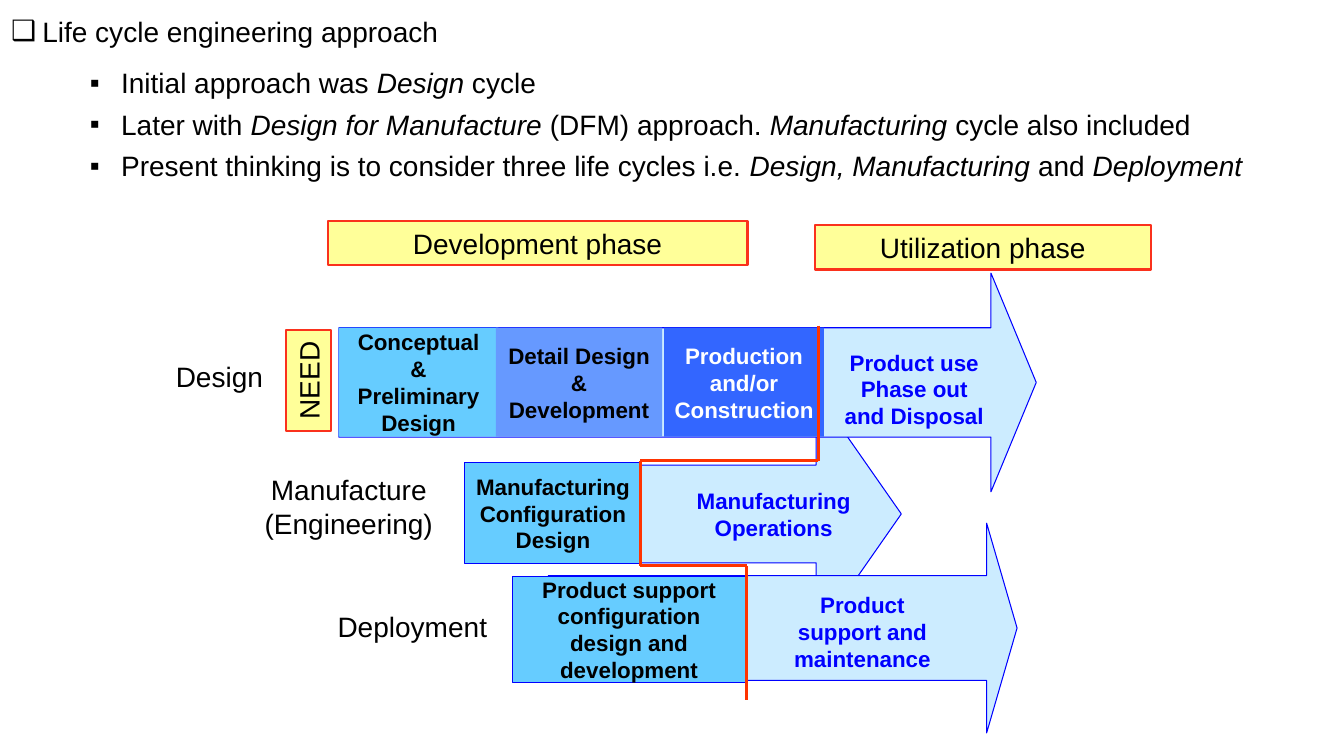
from dataclasses import dataclass
from itertools import pairwise

from lxml.etree import SubElement
from pptx import Presentation
from pptx.dml.color import RGBColor
from pptx.enum.shapes import MSO_CONNECTOR, MSO_SHAPE
from pptx.enum.text import MSO_ANCHOR, MSO_AUTO_SIZE, PP_ALIGN
from pptx.oxml.ns import qn
from pptx.util import Pt


@dataclass(frozen=True)
class Theme:
    font: str = "Arial"
    large: int = 20
    small: int = 16
    black: str = "000000"
    white: str = "FFFFFF"
    blue: str = "0000FF"
    pale: str = "CCECFF"
    sky: str = "66CCFF"
    mid: str = "6699FF"
    deep: str = "3366FF"
    yellow: str = "FFFF99"
    frame: str = "FA311C"
    divider: str = "FF3300"


T = Theme()


def write(tf, text, size=T.large, color=T.black, bold=False, align=PP_ALIGN.CENTER,
          anchor=MSO_ANCHOR.MIDDLE, bullet=None, gap=0):
    """Fill a text frame: a newline starts a paragraph, asterisks enclose italics."""
    tf.word_wrap = True
    tf.auto_size = MSO_AUTO_SIZE.NONE
    tf.vertical_anchor = anchor
    for i, line in enumerate(text.split("\n")):
        p = tf.paragraphs[0] if i == 0 else tf.add_paragraph()
        p.alignment = align
        p.space_before, p.space_after = Pt(0), Pt(gap)
        if bullet:
            pPr = p._p.get_or_add_pPr()
            pPr.set("marL", str(Pt(22.3)))
            pPr.set("indent", str(Pt(-22.3)))
            SubElement(pPr, qn("a:buFont")).set("typeface", T.font)
            SubElement(pPr, qn("a:buChar")).set("char", bullet)
        for j, part in enumerate(line.split("*")):
            if part:
                r = p.add_run()
                r.text = part
                r.font.name, r.font.size = T.font, Pt(size)
                r.font.bold, r.font.italic = bold, j % 2 == 1
                r.font.color.rgb = RGBColor.from_string(color)


def add_block(shapes, kind, left, top, width, height, fill, line=None, line_width=0.75):
    sp = shapes.add_shape(kind, Pt(left), Pt(top), Pt(width), Pt(height))
    sp.shadow.inherit = False
    sp.fill.solid()
    sp.fill.fore_color.rgb = RGBColor.from_string(fill)
    if line:
        sp.line.color.rgb = RGBColor.from_string(line)
        sp.line.width = Pt(line_width)
    else:
        sp.line.fill.background()
    return sp


prs = Presentation()
prs.slide_width, prs.slide_height = Pt(960), Pt(540)
slide = prs.slides.add_slide(prs.slide_layouts[1])
shapes = slide.shapes

# Heading and list
title, body = slide.placeholders
title.left, title.top, title.width, title.height = Pt(0.7), Pt(6.5), Pt(355), Pt(32)
write(title.text_frame, "Life cycle engineering approach",
      align=PP_ALIGN.LEFT, anchor=MSO_ANCHOR.TOP, bullet="❑")
body.left, body.top, body.width, body.height = Pt(57), Pt(43.5), Pt(874), Pt(90)
write(body.text_frame,
      "Initial approach was *Design* cycle\n"
      "Later with *Design for Manufacture* (DFM) approach. *Manufacturing* cycle also included\n"
      "Present thinking is to consider three life cycles i.e. "
      "*Design, Manufacturing* and *Deployment*",
      align=PP_ALIGN.LEFT, anchor=MSO_ANCHOR.TOP, bullet="▪", gap=5.5)

# Life cycles, back to front: arrow, its stages, its closing text
cycles = [
    ((350, 280, 293.8, 174.2), (0.401, 0.349),
     [("Manufacturing Configuration Design", (332, 330.5, 126, 72), T.sky, T.blue, T.black)],
     ("Manufacturing Operations", (489.6, 344.2, 126, 46))),
    ((391.7, 373.7, 334.8, 149.8), (0.5, 0.145),
     [("Product support configuration design and development",
       (365.8, 411.8, 167, 75.6), T.sky, T.blue, T.black)],
     ("Product support and maintenance", (553, 419, 126, 65.5))),
    ((242, 195.1, 498.2, 156.2), (0.5, 0.207),
     [("Conceptual & Preliminary Design", (242, 234, 114, 78), T.sky, None, T.black),
      ("Detail Design & Development", (354.2, 234, 118.8, 78), T.mid, None, T.black),
      ("Production and/or Construction", (474.5, 234, 114, 78), T.deep, None, T.white)],
     ("Product use Phase out and Disposal", (596, 245.5, 114, 65.5))),
]
for arrow_box, adjustments, stages, (ending, ending_box) in cycles:
    arrow = add_block(shapes, MSO_SHAPE.RIGHT_ARROW, *arrow_box, T.pale, T.blue)
    for i, value in enumerate(adjustments):
        arrow.adjustments[i] = value
    for text, box, fill, line, color in stages:
        sp = add_block(shapes, MSO_SHAPE.RECTANGLE, *box, fill, line)
        write(sp.text_frame, text, size=T.small, color=color, bold=True)
    tb = shapes.add_textbox(*map(Pt, ending_box))
    write(tb.text_frame, ending, size=T.small, color=T.blue, bold=True, anchor=MSO_ANCHOR.TOP)

# Framed phase names and the starting need
frames = [
    ("Development phase", (234, 158, 300, 31.5), 0),
    ("Utilization phase", (582, 161, 240, 31.5), 0),
    ("NEED", (184.3, 255.6, 72, 32.4), 270),
]
for text, box, rotation in frames:
    sp = add_block(shapes, MSO_SHAPE.RECTANGLE, *box, T.yellow, T.frame, 1.5)
    sp.rotation = rotation
    write(sp.text_frame, text)

# Stepped divider between development and utilization
steps = [(584.6, 232.6), (584.6, 329), (457.2, 329), (457.2, 404), (533.5, 404), (533.5, 499.7)]
for start, end in pairwise(steps):
    line = shapes.add_connector(MSO_CONNECTOR.STRAIGHT, *map(Pt, start + end))
    line.line.color.rgb = RGBColor.from_string(T.divider)
    line.line.width = Pt(2.25)
    SubElement(line._element.spPr, qn("a:effectLst"))

# Row labels
labels = [
    ("Design", (118.5, 253.4, 86, 31.5), PP_ALIGN.LEFT),
    ("Manufacture\n(Engineering)", (175.7, 334, 147, 55.5), PP_ALIGN.CENTER),
    ("Deployment", (234, 431.5, 126, 31.5), PP_ALIGN.LEFT),
]
for text, box, align in labels:
    tb = shapes.add_textbox(*map(Pt, box))
    write(tb.text_frame, text, align=align, anchor=MSO_ANCHOR.TOP)

prs.save("out.pptx")
